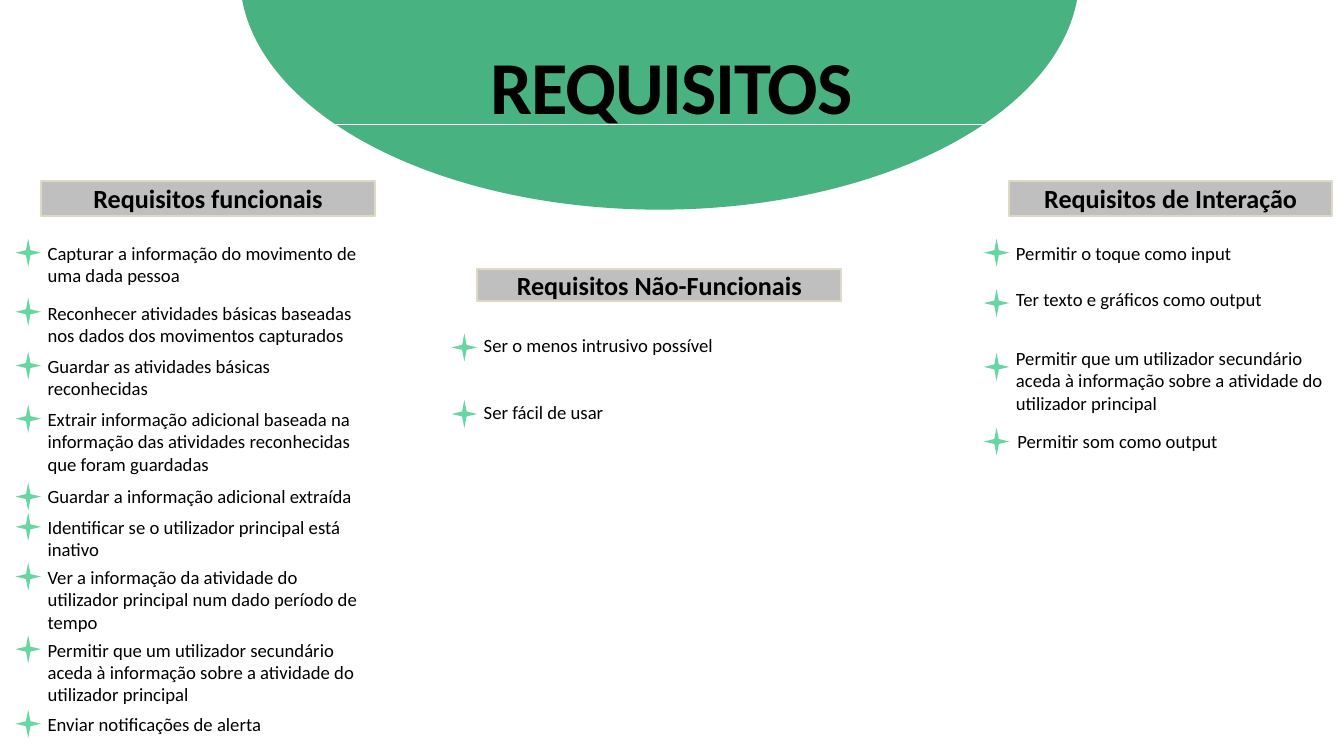
from dataclasses import dataclass

from lxml.etree import SubElement
from pptx import Presentation
from pptx.dml.color import RGBColor
from pptx.enum.shapes import MSO_CONNECTOR, MSO_SHAPE
from pptx.enum.text import MSO_ANCHOR, MSO_AUTO_SIZE, PP_ALIGN
from pptx.oxml.ns import qn
from pptx.util import Inches, Pt


@dataclass(frozen=True)
class Theme:
    font: str = "Calibri"
    ink: str = "000000"
    dome: str = "48B281"
    rule: str = "FFFFFF"
    header: str = "BFBFBF"
    header_edge: str = "DDD9C3"
    star: str = "68D6A3"
    title_size: int = 80
    header_size: int = 28
    body_size: int = 20


@dataclass(frozen=True)
class Requirement:
    text: str
    top: float
    star_top: float
    lines: int = 1
    indent: float = 0


@dataclass(frozen=True)
class Column:
    heading: str
    left: float
    top: float
    width: float
    height: float
    text_width: float
    requirements: tuple


class RequirementsSlide:
    STAR_WIDTH, STAR_HEIGHT = 0.38, 0.42
    FIRST_LINE, NEXT_LINE = 0.44, 0.34

    def __init__(self, slide, theme):
        self.slide = slide
        self.theme = theme

    def styled_run(self, paragraph, text, size, bold=False):
        run = paragraph.add_run()
        run.text = text
        run.font.name = self.theme.font
        run.font.size = Pt(size)
        run.font.bold = bold
        run.font.color.rgb = RGBColor.from_string(self.theme.ink)
        return run

    def shape(self, kind, left, top, width, height, fill, edge=None):
        shape = self.slide.shapes.add_shape(
            kind, Inches(left), Inches(top), Inches(width), Inches(height))
        shape.shadow.inherit = False
        shape.fill.solid()
        shape.fill.fore_color.rgb = RGBColor.from_string(fill)
        if edge:
            shape.line.color.rgb = RGBColor.from_string(edge)
            shape.line.width = Pt(2)
        else:
            shape.line.fill.background()
        return shape

    def title(self, text, left, top, width, height):
        title = self.slide.shapes.title
        title.left, title.top = Inches(left), Inches(top)
        title.width, title.height = Inches(width), Inches(height)
        frame = title.text_frame
        frame.margin_left = frame.margin_right = 0
        frame.margin_top = frame.margin_bottom = 0
        frame.vertical_anchor = MSO_ANCHOR.TOP
        frame.auto_size = MSO_AUTO_SIZE.NONE
        frame.word_wrap = True
        paragraph = frame.paragraphs[0]
        paragraph.alignment = PP_ALIGN.CENTER
        paragraph.line_spacing = Pt(84)
        paragraph.space_before = Pt(0)
        run = self.styled_run(paragraph, text, self.theme.title_size, bold=True)
        run._r.get_or_add_rPr().set("spc", "-140")

    def dome(self, left, top, width, height):
        dome = self.shape(MSO_SHAPE.OVAL, left, top, width, height, self.theme.dome)
        self.slide.shapes.title.element.addprevious(dome.element)

    def rule(self, left, right, y):
        rule = self.slide.shapes.add_connector(
            MSO_CONNECTOR.STRAIGHT, Inches(left), Inches(y), Inches(right), Inches(y))
        rule.line.color.rgb = RGBColor.from_string(self.theme.rule)
        rule.line.width = Pt(0.75)
        SubElement(rule.element.spPr, qn("a:effectLst"))

    def header(self, column):
        header = self.shape(MSO_SHAPE.RECTANGLE, column.left, column.top, column.width,
                            column.height, self.theme.header, self.theme.header_edge)
        header.text_frame.word_wrap = True
        header.text_frame.vertical_anchor = MSO_ANCHOR.MIDDLE
        paragraph = header.text_frame.paragraphs[0]
        paragraph.alignment = PP_ALIGN.CENTER
        self.styled_run(paragraph, column.heading, self.theme.header_size, bold=True)

    def requirement(self, item, left, width):
        height = self.FIRST_LINE + self.NEXT_LINE * (item.lines - 1)
        box = self.slide.shapes.add_textbox(
            Inches(left + item.indent), Inches(item.top), Inches(width), Inches(height))
        box.text_frame.word_wrap = True
        box.text_frame.auto_size = MSO_AUTO_SIZE.SHAPE_TO_FIT_TEXT
        self.styled_run(box.text_frame.paragraphs[0], item.text, self.theme.body_size)
        self.shape(MSO_SHAPE.STAR_4_POINT, left - self.STAR_WIDTH, item.star_top,
                   self.STAR_WIDTH, self.STAR_HEIGHT, self.theme.star)

    def column(self, column):
        self.header(column)
        for item in column.requirements:
            self.requirement(item, column.left, column.text_width)


SECONDARY_ACCESS = ("Permitir que um utilizador secundário aceda à informação "
                    "sobre a atividade do utilizador principal")

COLUMNS = (
    Column("Requisitos funcionais", 0.61, 2.69, 4.97, 0.52, 4.96, (
        Requirement("Capturar a informação do movimento de uma dada pessoa", 3.55, 3.55, 2),
        Requirement("Reconhecer atividades básicas baseadas nos dados dos movimentos "
                    "capturados", 4.44, 4.43, 2),
        Requirement("Guardar as atividades básicas reconhecidas", 5.23, 5.23, 2),
        Requirement("Extrair informação adicional baseada na informação das atividades "
                    "reconhecidas que foram guardadas", 6.02, 6.02, 3),
        Requirement("Guardar a informação adicional extraída", 7.17, 7.18),
        Requirement("Identificar se o utilizador principal está inativo", 7.62, 7.63, 2),
        Requirement("Ver a informação da atividade do utilizador principal num dado "
                    "período de tempo", 8.37, 8.37, 3),
        Requirement(SECONDARY_ACCESS, 9.45, 9.45, 3),
        Requirement("Enviar notificações de alerta", 10.56, 10.56),
    )),
    Column("Requisitos Não-Funcionais", 7.1, 4, 5.42, 0.48, 5.41, (
        Requirement("Ser o menos intrusivo possível", 4.92, 4.96),
        Requirement("Ser fácil de usar", 5.92, 5.95),
    )),
    Column("Requisitos de Interação", 15.02, 2.69, 4.8, 0.52, 4.76, (
        Requirement("Permitir o toque como input", 3.55, 3.55),
        Requirement("Ter texto e gráficos como output", 4.24, 4.3),
        Requirement(SECONDARY_ACCESS, 5.11, 5.25, 3),
        Requirement("Permitir som como output", 6.35, 6.36, indent=0.02),
    )),
)


def main():
    presentation = Presentation()
    presentation.slide_width = Inches(20)
    presentation.slide_height = Inches(11.25)
    title_only = presentation.slide_layouts.get_by_name("Title Only")
    page = RequirementsSlide(presentation.slides.add_slide(title_only), Theme())
    page.title("REQUISITOS", 5.89, 0.76, 8.21, 1.18)
    page.dome(3.57, -3.84, 12.49, 6.96)
    page.rule(4.17, 15.83, 1.85)
    for column in COLUMNS:
        page.column(column)
    presentation.save("out.pptx")


if __name__ == "__main__":
    main()
